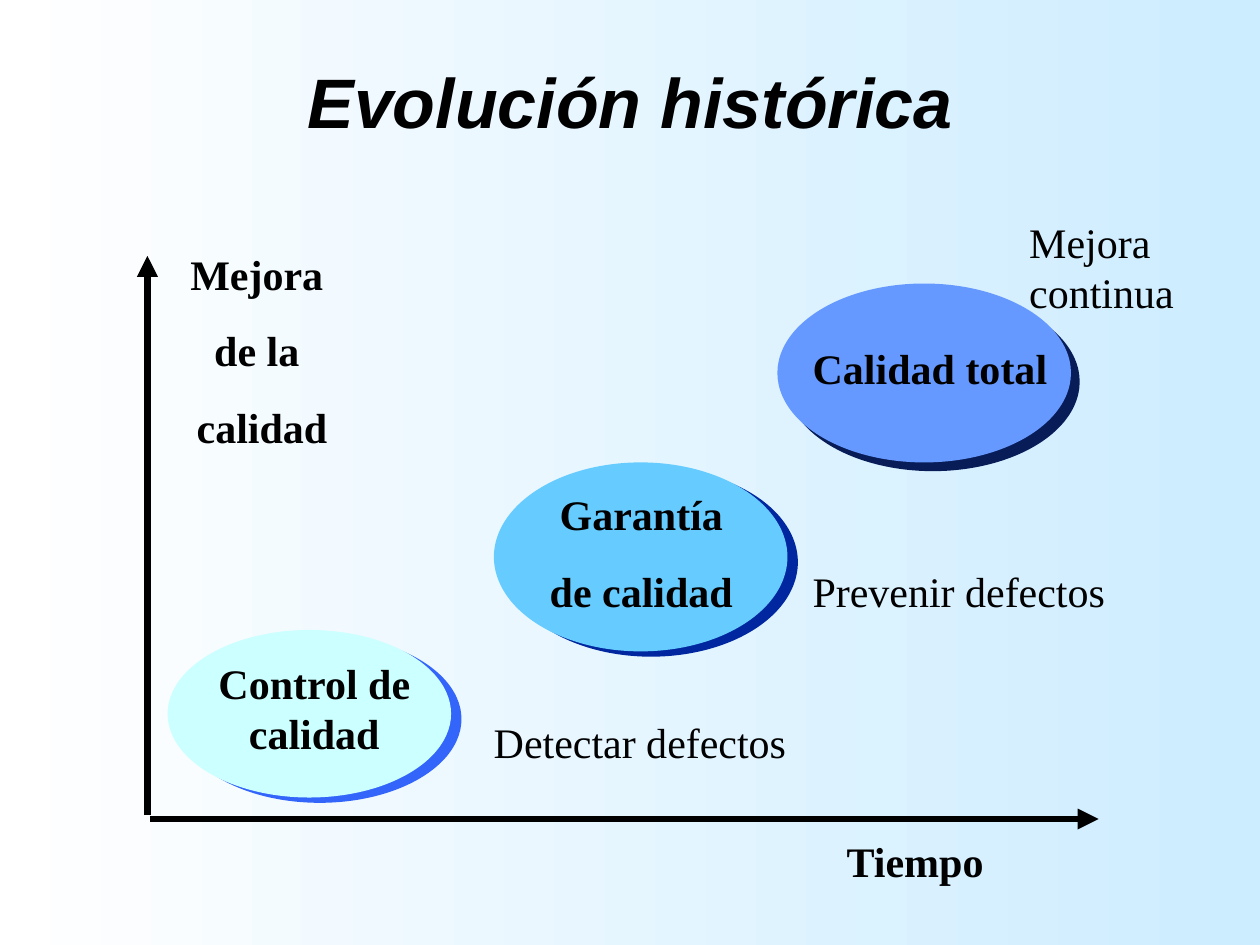
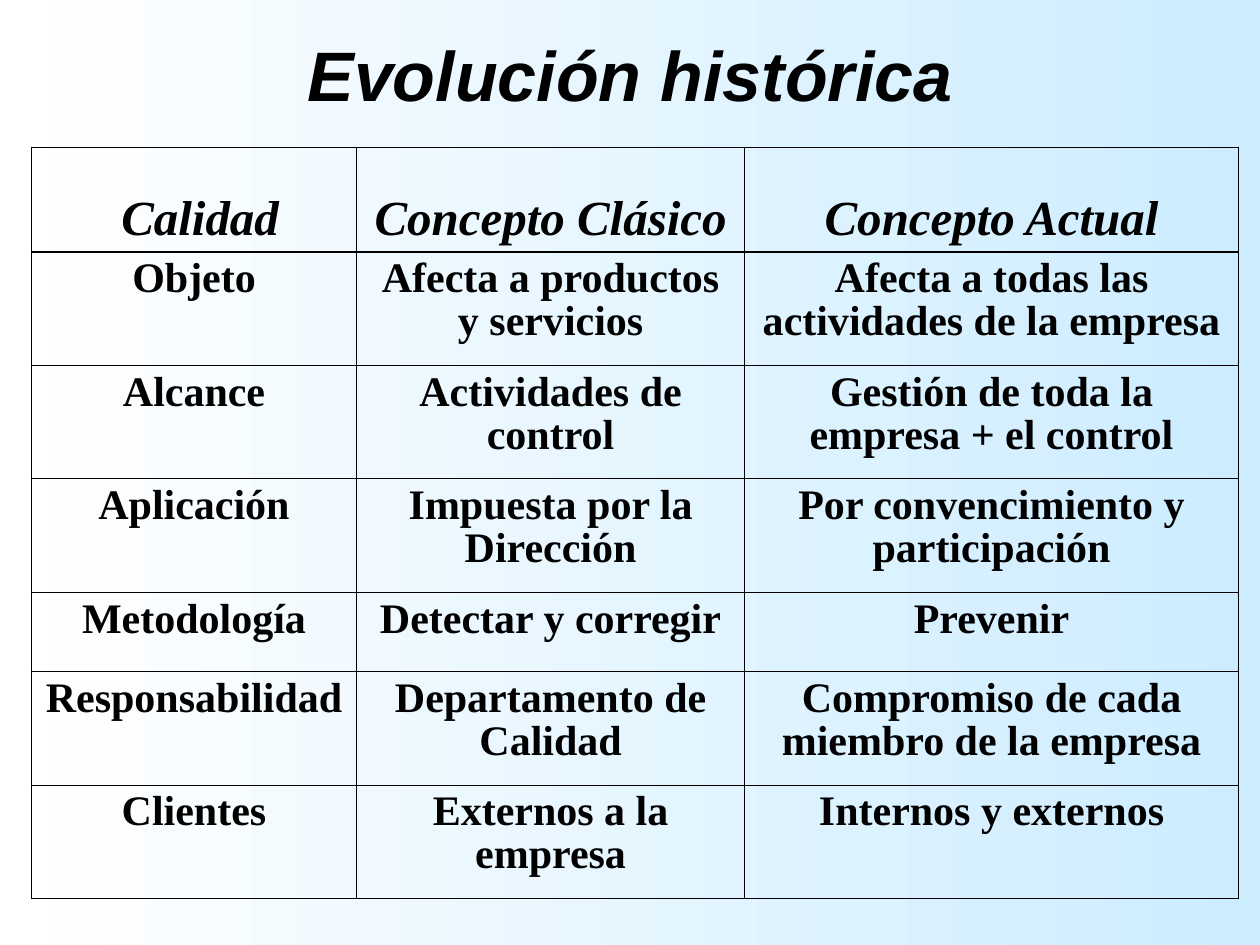
import pptx
import pptx.util
import pptx.dml.color
import pptx.enum.shapes
import pptx.enum.text
import pptx.oxml
import pptx.oxml.ns
from lxml import etree

Inches = pptx.util.Inches
Pt = pptx.util.Pt
ALIGN = pptx.enum.text.PP_ALIGN
ANCHOR = pptx.enum.text.MSO_ANCHOR
AUTO_SIZE = pptx.enum.text.MSO_AUTO_SIZE

COLORS = {
    "ink": "000000",
    "background_right": "CCECFF",
    "background_left": "FFFFFF",
    "control": "CCFFFF",
    "control_shadow": "3365FB",
    "guarantee": "66CCFF",
    "guarantee_shadow": "00279F",
    "total": "6699FF",
    "total_shadow": "081D58",
}
TITLE = "Evolución histórica"
TITLE_FONT = "Arial"
BODY_FONT = "Times New Roman"
THICK, THIN = 1.08, 0.45

STAGES = [
    (["Control de calidad"], "control", (1.33, 5, 2.25, 1.33),
     (1.58, 5.17, 1.83, 0.9), 6.7, 27),
    (["Garantía", "de calidad"], "guarantee", (3.92, 3.67, 2.33, 1.5),
     (3.84, 3.83, 2.5, 1.11), 6.7, 27),
    (["Calidad total"], "total", (6.17, 2.25, 2.33, 1.42),
     (6.09, 2.67, 2.58, 0.5), 7.1, 45),
]
NOTES = [
    (["Detectar defectos"], (3.82, 5.64, 2.52, 0.5)),
    (["Prevenir defectos"], (6.35, 4.44, 2.52, 0.5)),
    (["Mejora", "continua"], (8.07, 1.67, 1.35, 0.9)),
]
COLUMN_WIDTHS = [2.58, 3.08, 3.92]
ROW_HEIGHTS = [0.83, 0.9, 0.9, 0.9, 0.63, 0.9, 0.9]
COMPARISON = [
    [" Calidad", "Concepto Clásico", "Concepto Actual"],
    ["Objeto", "Afecta a productos y servicios",
     "Afecta a todas las actividades de la empresa"],
    ["Alcance", "Actividades de control", "Gestión de toda la empresa + el control"],
    ["Aplicación", "Impuesta por la Dirección", "Por convencimiento y participación"],
    ["Metodología", "Detectar y corregir", "Prevenir"],
    ["Responsabilidad", "Departamento de Calidad",
     "Compromiso de cada miembro de la empresa"],
    ["Clientes", "Externos a la empresa", "Internos y externos"],
]


def color(name):
    return pptx.dml.color.RGBColor.from_string(COLORS[name])


def add_child(parent, tag, **attributes):
    return etree.SubElement(parent, pptx.oxml.ns.qn(tag), attributes)


def add_run(paragraph, text, size=24, bold=True, italic=False, font=BODY_FONT):
    run = paragraph.add_run()
    run.text = text
    run.font.name = font
    run.font.size = Pt(size)
    run.font.bold = bold
    run.font.italic = italic
    run.font.color.rgb = color("ink")


def set_margins(target, horizontal=0.1):
    target.margin_left = target.margin_right = Inches(horizontal)
    target.margin_top = target.margin_bottom = Inches(0.05)


def set_background(master):
    fill = master.background.fill
    fill.gradient()
    fill.gradient_angle = 180
    for stop, name in zip(fill.gradient_stops, ("background_right", "background_left")):
        stop.color.rgb = color(name)


def add_titled_slide(presentation, title_height):
    slide = presentation.slides.add_slide(presentation.slide_layouts[5])
    title = slide.shapes.title
    title.left, title.top = Inches(0.75), Inches(0.17)
    title.width, title.height = Inches(8.5), Inches(title_height)
    frame = title.text_frame
    frame.auto_size = AUTO_SIZE.NONE
    frame.vertical_anchor = ANCHOR.MIDDLE
    set_margins(frame)
    paragraph = frame.paragraphs[0]
    paragraph.alignment = ALIGN.CENTER
    add_run(paragraph, TITLE, 40, italic=True, font=TITLE_FONT)
    return slide


def add_label(slide, lines, box, align=ALIGN.LEFT, space_before=0, bold=True,
              wrap=True, anchor=ANCHOR.TOP, margin=0.1):
    frame = slide.shapes.add_textbox(*map(Inches, box)).text_frame
    frame.word_wrap = wrap
    frame.auto_size = AUTO_SIZE.NONE if anchor == ANCHOR.BOTTOM else AUTO_SIZE.SHAPE_TO_FIT_TEXT
    frame.vertical_anchor = anchor
    set_margins(frame, margin)
    for index, line in enumerate(lines):
        paragraph = frame.add_paragraph() if index else frame.paragraphs[0]
        paragraph.alignment = align
        paragraph.space_before = Pt(space_before)
        add_run(paragraph, line, bold=bold)


def add_axis(slide, start, end):
    axis = slide.shapes.add_connector(
        pptx.enum.shapes.MSO_CONNECTOR.STRAIGHT, *map(Inches, start + end))
    axis.line.color.rgb = color("ink")
    axis.line.width = Pt(4)
    add_child(axis.line._get_or_add_ln(), "a:tailEnd", type="triangle")
    add_child(axis._element.spPr, "a:effectLst")


def add_stage(slide, lines, name, oval_box, label_box, distance, direction):
    oval = slide.shapes.add_shape(
        pptx.enum.shapes.MSO_SHAPE.OVAL, *map(Inches, oval_box))
    oval.fill.solid()
    oval.fill.fore_color.rgb = color(name)
    oval.line.fill.background()
    oval.shadow.inherit = False
    effects = oval._element.spPr.find(pptx.oxml.ns.qn("a:effectLst"))
    shadow = add_child(effects, "a:outerShdw", blurRad="0", dist=str(int(Pt(distance))),
                       dir=str(direction * 60000), algn="ctr", rotWithShape="0")
    add_child(shadow, "a:srgbClr", val=COLORS[name + "_shadow"])
    add_label(slide, lines, label_box, ALIGN.CENTER, space_before=15)


def set_borders(cell, widths):
    properties = cell._tc.get_or_add_tcPr()
    for side, width in zip("LRTB", widths):
        line = add_child(properties, "a:ln" + side, w=str(int(Pt(width))))
        add_child(add_child(line, "a:solidFill"), "a:srgbClr", val=COLORS["ink"])


def fill_cell(cell, text, is_header):
    cell.fill.background()
    cell.vertical_anchor = ANCHOR.BOTTOM if is_header else ANCHOR.TOP
    set_margins(cell)
    paragraph = cell.text_frame.paragraphs[0]
    paragraph.alignment = ALIGN.CENTER
    paragraph.line_spacing = 0.93
    paragraph.space_before = Pt(7 if is_header else 6)
    add_run(paragraph, text, 28 if is_header else 24, italic=is_header)


def add_comparison_table(slide):
    last_row, last_column = len(ROW_HEIGHTS) - 1, len(COLUMN_WIDTHS) - 1
    table = slide.shapes.add_table(
        last_row + 1, last_column + 1, Inches(0.25), Inches(1.17),
        Inches(sum(COLUMN_WIDTHS)), Inches(sum(ROW_HEIGHTS))).table
    table.first_row = table.horz_banding = False
    for column, width in zip(table.columns, COLUMN_WIDTHS):
        column.width = Inches(width)
    for row, height in zip(table.rows, ROW_HEIGHTS):
        row.height = Inches(height)
    for r, texts in enumerate(COMPARISON):
        for c, text in enumerate(texts):
            thick_sides = (c == 0, c == last_column, r <= 1, r in (0, last_row))
            cell = table.cell(r, c)
            set_borders(cell, [THICK if thick else THIN for thick in thick_sides])
            fill_cell(cell, text, is_header=r == 0)


def build_timeline_slide(presentation):
    slide = add_titled_slide(presentation, 1.25)
    add_axis(slide, (1.17, 6.47), (1.17, 2.03))
    add_axis(slide, (1.19, 6.5), (8.72, 6.5))
    add_label(slide, ["Mejora ", "de la ", "calidad"], (1.25, 1.92, 1.66, 1.71),
              ALIGN.CENTER, space_before=15)
    for stage in STAGES:
        add_stage(slide, *stage)
    add_label(slide, ["Tiempo"], (6.67, 6.58, 1.92, 0.5),
              anchor=ANCHOR.BOTTOM, margin=0.05)
    for lines, box in NOTES:
        add_label(slide, lines, box, bold=False, wrap=False)


def build_comparison_slide(presentation):
    slide = add_titled_slide(presentation, 0.83)
    add_comparison_table(slide)


def main():
    presentation = pptx.Presentation()
    presentation.slide_width = Inches(10)
    presentation.slide_height = Inches(7.5)
    set_background(presentation.slide_master)
    build_timeline_slide(presentation)
    build_comparison_slide(presentation)
    presentation.save("out.pptx")


if __name__ == "__main__":
    main()
